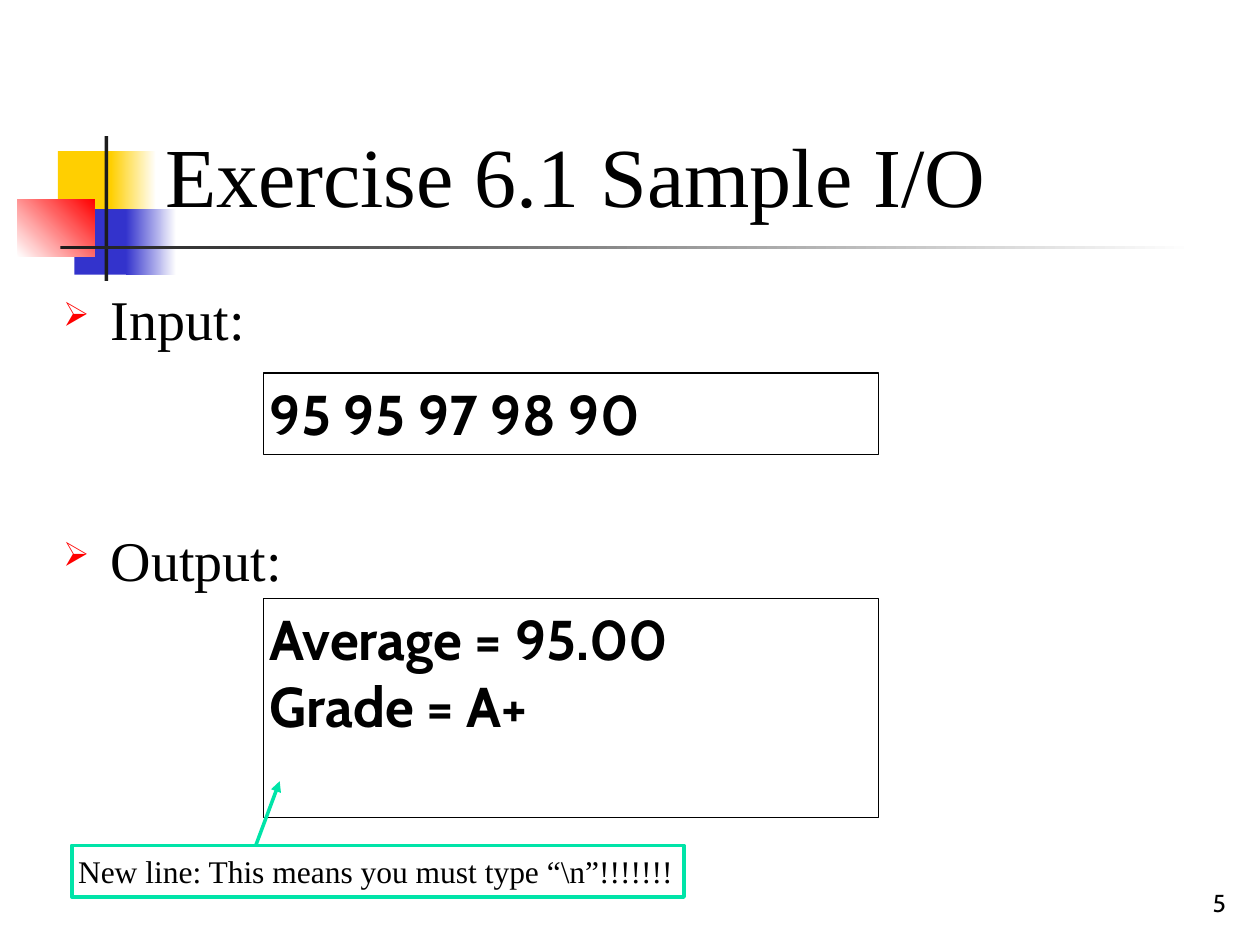
import pptx
import pptx.dml.color
import pptx.enum.shapes
import pptx.enum.text
import pptx.oxml.ns
import pptx.util
from lxml import etree
from pptx.dml.color import RGBColor
from pptx.util import Inches

BLACK = RGBColor(0x00, 0x00, 0x00)
WHITE = RGBColor(0xFF, 0xFF, 0xFF)
CHARCOAL = RGBColor(0x1C, 0x1C, 0x1C)
YELLOW = RGBColor(0xFF, 0xCF, 0x01)
BLUE = RGBColor(0x33, 0x33, 0xCC)
RED = RGBColor(0xFF, 0x00, 0x00)
GREEN = RGBColor(0x00, 0xE4, 0xA8)
SERIF = "Times New Roman"
SANS = "Cabin"
TOP = pptx.enum.text.MSO_ANCHOR.TOP
BOTTOM = pptx.enum.text.MSO_ANCHOR.BOTTOM
LEFT = pptx.enum.text.PP_ALIGN.LEFT
RIGHT = pptx.enum.text.PP_ALIGN.RIGHT


def add_element(parent, tag, **attributes):
    return etree.SubElement(parent, pptx.oxml.ns.qn(tag), attributes)


class SlideBuilder:
    def __init__(self, page):
        self.page = page

    def block(self, place, *colors, angle=0):
        """Add a borderless rectangle, solid for one colour, graded for two."""
        block = self.page.shapes.add_shape(
            pptx.enum.shapes.MSO_SHAPE.RECTANGLE, *map(Inches, place))
        block.shadow.inherit = False
        block.line.fill.background()
        if len(colors) == 1:
            block.fill.solid()
            block.fill.fore_color.rgb = colors[0]
        else:
            block.fill.gradient()
            block.fill.gradient_angle = angle
            for position, (stop, color) in enumerate(
                    zip(block.fill.gradient_stops, colors)):
                stop.position = position
                stop.color.rgb = color
        return block

    def set_text(self, box, lines, size, font, bold=False, anchor=TOP,
                 align=LEFT, wrap=True):
        frame = box.text_frame
        frame.word_wrap = wrap
        frame.vertical_anchor = anchor
        frame.margin_left = frame.margin_right = Inches(0.05)
        frame.margin_top = frame.margin_bottom = Inches(0.05)
        frame.text = "\n".join(lines)
        for para in frame.paragraphs:
            para.alignment = align
            para.font.name = font
            para.font.size = pptx.util.Pt(size)
            para.font.bold = bold
            para.font.color.rgb = BLACK
        return frame.paragraphs

    def text(self, place, lines, size, font, **style):
        box = self.page.shapes.add_textbox(*map(Inches, place))
        return self.set_text(box, lines, size, font, **style)

    def framed_text(self, place, lines, size, font, color=BLACK, width=0.75,
                    fill=None, **style):
        box = self.block(place, fill or WHITE)
        if fill is None:
            box.fill.background()
        box.line.color.rgb = color
        box.line.width = pptx.util.Pt(width)
        self.set_text(box, lines, size, font, **style)

    def bullets(self, place, items, size, font, gaps):
        """Add arrow-bulleted items, each with its own space before in points."""
        for para, gap in zip(self.text(place, items, size, font), gaps):
            para.space_before = pptx.util.Pt(gap)
            properties = para._p.get_or_add_pPr()
            properties.set("marL", str(Inches(0.38)))
            properties.set("indent", str(-Inches(0.38)))
            # Bullet elements must precede the default run properties.
            run_defaults = properties.find(pptx.oxml.ns.qn("a:defRPr"))
            color = add_element(properties, "a:buClr")
            add_element(color, "a:srgbClr", val=str(RED))
            add_element(properties, "a:buSzPct", val="60000")
            add_element(properties, "a:buChar", char="➢")
            if run_defaults is not None:
                properties.append(run_defaults)

    def arrow(self, start, end, color, width):
        arrow = self.page.shapes.add_connector(
            pptx.enum.shapes.MSO_CONNECTOR.STRAIGHT,
            *map(Inches, start + end))
        arrow.line.color.rgb = color
        arrow.line.width = pptx.util.Pt(width)
        add_element(arrow.line._get_or_add_ln(), "a:tailEnd", type="triangle")
        add_element(arrow._element.spPr, "a:effectLst")


def main():
    deck = pptx.Presentation()
    deck.slide_width, deck.slide_height = Inches(10), Inches(7.5)
    slide = SlideBuilder(deck.slides.add_slide(deck.slide_layouts[6]))

    slide.block((0.46, 1.2, 0.48, 0.52), YELLOW)
    slide.block((0.88, 1.2, 0.36, 0.52), YELLOW, WHITE)
    slide.block((0.59, 1.66, 0.46, 0.52), BLUE)
    slide.block((1, 1.66, 0.4, 0.52), BLUE, WHITE)
    slide.block((0.14, 1.58, 0.61, 0.46), WHITE, RED, angle=45)
    slide.block((0.83, 1.08, 0.03, 1.15), CHARCOAL)
    slide.block((0.48, 1.95, 9, 0.03), CHARCOAL, WHITE)

    slide.bullets((0.45, 2.21, 9.32, 5.17), ["Input:", "Output:"], 32, SERIF,
                  gaps=(7, 99))
    slide.text((1.26, 0.23, 8.52, 1.6), ["Exercise 6.1 Sample I/O"], 48, SERIF,
               anchor=BOTTOM)
    slide.text((9.56, 6.99, 0.22, 0.34), ["5"], 14, SANS, anchor=BOTTOM,
               align=RIGHT, wrap=False)

    slide.framed_text((2.09, 2.96, 4.88, 0.65), ["95 95 97 98 90"], 32, SANS,
                      bold=True)
    slide.framed_text((2.09, 4.75, 4.88, 1.74),
                      ["Average = 95.00", "Grade = A+"], 32, SANS, bold=True)
    slide.arrow((2.03, 6.71), (2.22, 6.2), GREEN, 2)
    slide.framed_text((0.57, 6.71, 4.86, 0.41),
                      ["New line: This means you must type “\\n”!!!!!!!"],
                      18, SERIF, color=GREEN, width=2, fill=WHITE, wrap=False)

    deck.save("out.pptx")


if __name__ == "__main__":
    main()
